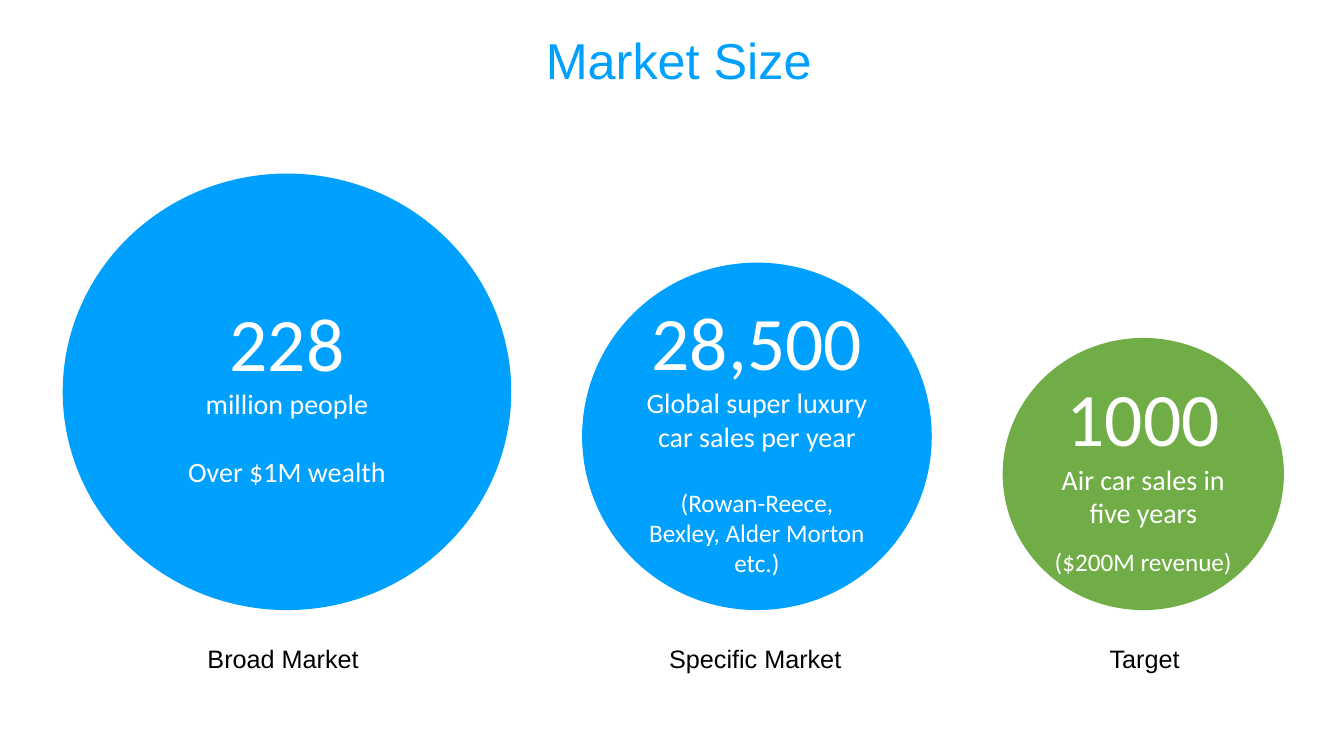
import pptx
import pptx.dml.color
import pptx.enum.shapes
import pptx.enum.text
import pptx.util
from dataclasses import dataclass

Pt = pptx.util.Pt
ALIGN = pptx.enum.text.PP_ALIGN
ANCHOR = pptx.enum.text.MSO_ANCHOR


@dataclass(frozen=True)
class Theme:
    blue: str = "00A0FF"
    green: str = "70AD47"
    white: str = "FFFFFF"
    black: str = "000000"
    heading_font: str = "Arial"
    figure_font: str = "Calibri"
    title_size: int = 36
    figure_size: int = 54
    body_size: int = 20
    small_size: int = 18


class MarketSlide:
    def __init__(self, deck, theme):
        self.theme = theme
        self.slide = deck.slides.add_slide(deck.slide_layouts[5])

    def add_text(self, paragraph, text, size, font, color, align):
        paragraph.alignment = align
        run = paragraph.add_run()
        run.text = text
        run.font.size = Pt(size)
        run.font.name = font
        run.font.color.rgb = pptx.dml.color.RGBColor.from_string(color)

    def title(self, text, left, top, width, height):
        heading = self.slide.shapes.title
        heading.left, heading.top = Pt(left), Pt(top)
        heading.width, heading.height = Pt(width), Pt(height)
        heading.text_frame.vertical_anchor = ANCHOR.TOP
        self.add_text(heading.text_frame.paragraphs[0], text, self.theme.title_size,
                      self.theme.heading_font, self.theme.blue, ALIGN.CENTER)

    def circle(self, left, bottom, width, height, color, lines):
        market = self.slide.shapes.add_shape(
            pptx.enum.shapes.MSO_SHAPE.OVAL,
            Pt(left), Pt(bottom - height), Pt(width), Pt(height))
        market.shadow.inherit = False
        market.fill.solid()
        market.fill.fore_color.rgb = pptx.dml.color.RGBColor.from_string(color)
        market.line.fill.background()
        frame = market.text_frame
        frame.word_wrap = True
        frame.vertical_anchor = ANCHOR.MIDDLE
        for index, (text, size, gap) in enumerate(lines):
            paragraph = frame.add_paragraph() if index else frame.paragraphs[0]
            if gap:
                paragraph.space_before = Pt(gap)
            self.add_text(paragraph, text, size, self.theme.figure_font,
                          self.theme.white, ALIGN.CENTER)

    def label(self, text, left, top, width, height):
        caption = self.slide.shapes.add_textbox(Pt(left), Pt(top), Pt(width), Pt(height))
        caption.text_frame.word_wrap = True
        self.add_text(caption.text_frame.paragraphs[0], text, self.theme.small_size,
                      self.theme.heading_font, self.theme.black, ALIGN.LEFT)


def main():
    theme = Theme()
    deck = pptx.Presentation()
    deck.slide_width, deck.slide_height = Pt(960), Pt(540)
    slide = MarketSlide(deck, theme)
    slide.title("Market Size", 244.8, 17.3, 480.2, 51.1)

    figure, body, small = theme.figure_size, theme.body_size, theme.small_size
    markets = [
        ("Broad Market", 141.1, 128.2, 320.4, 311.8, theme.blue,
         [("228", figure, 0), ("million people", body, 0),
          ("Over $1M wealth", body, 24.4)]),
        ("Specific Market", 470.9, 154.1, 249.8, 248.2, theme.blue,
         [("28,500", figure, 0), ("Global super luxury car sales per year", body, 0),
          ("(Rowan-Reece, Bexley, Alder Morton etc.)", small, 24.4)]),
        ("Target", 785.5, 154.1, 200.9, 194.4, theme.green,
         [("1000", figure, 0), ("Air car sales in five years", body, 0),
          ("($200M revenue)", small, 12.2)]),
    ]
    baseline, gap, left = 435.8, 50.6, 44.8
    for name, label_left, label_width, width, height, color, lines in markets:
        slide.circle(left, baseline, width, height, color, lines)
        slide.label(name, label_left, baseline + 20, label_width, 28.8)
        left += width + gap

    deck.save("out.pptx")


if __name__ == "__main__":
    main()
